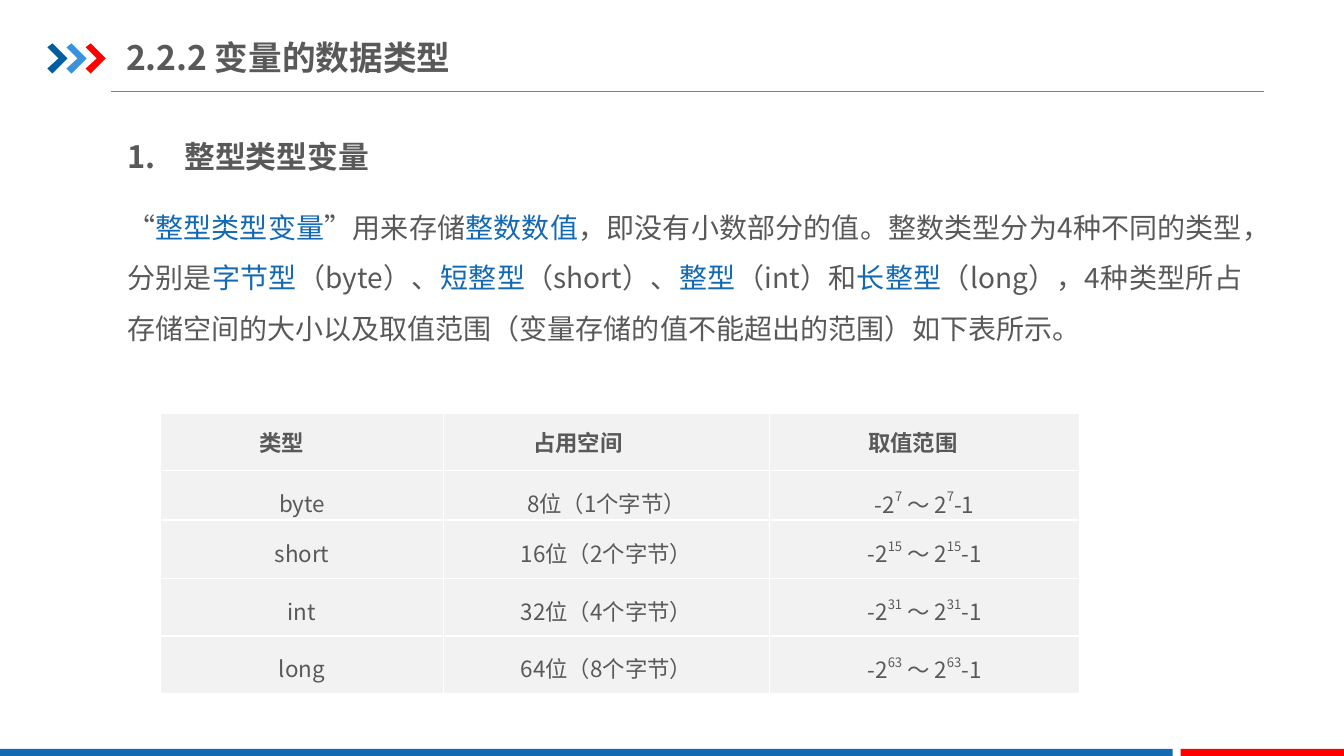
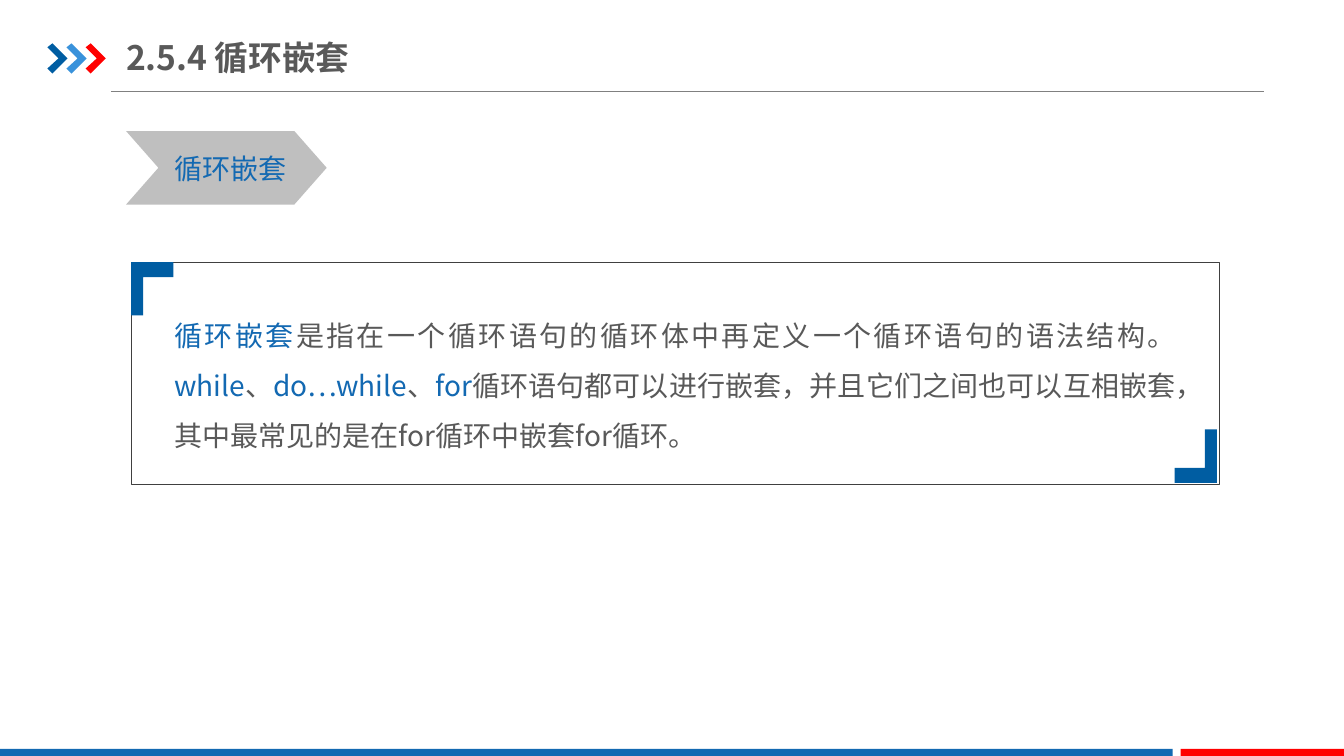
import pptx
import pptx.util
import pptx.dml.color
import pptx.enum.shapes
import pptx.enum.text
import pptx.oxml
import pptx.oxml.ns
from lxml import etree

PX = 9144  # 100 px to the inch
FONT = "Noto Sans CJK SC"
RGB = pptx.dml.color.RGBColor
GREY = RGB(0x59, 0x59, 0x59)
RULE = RGB(0x80, 0x80, 0x80)
EDGE = RGB(0x40, 0x40, 0x40)
TAG = RGB(0xBF, 0xBF, 0xBF)
CELL = RGB(0xF2, 0xF2, 0xF2)
BLUE = RGB(0x13, 0x69, 0xB2)
NAVY = RGB(0x00, 0x5D, 0xA2)
SKY = RGB(0x39, 0x92, 0xDB)
RED = RGB(0xFF, 0x00, 0x00)
SHAPE = pptx.enum.shapes.MSO_SHAPE
ALIGN = pptx.enum.text.PP_ALIGN
ANCHOR = pptx.enum.text.MSO_ANCHOR
qn = pptx.oxml.ns.qn

# Content: every second part between bars is blue, or raised in the table
TYPES = {
    "title": "2.2.2 变量的数据类型",
    "head": "1.\t整型类型变量",
    "body": "“|整型类型变量|”用来存储|整数数值|，即没有小数部分的值。"
            "整数类型分为4种不同的类型，分别是|字节型|（byte）、|短整型|（short）、"
            "|整型|（int）和|长整型|（long），4种类型所占存储空间的大小以及取值范围"
            "（变量存储的值不能超出的范围）如下表所示。",
    "table": [
        ("类型", "占用空间", "取值范围"),
        ("byte", "8位（1个字节）", "-2|7| ～ 2|7|-1"),
        ("short", "16位（2个字节）", "-2|15| ～ 2|15|-1"),
        ("int", "32位（4个字节）", "-2|31| ～ 2|31|-1"),
        ("long", "64位（8个字节）", "-2|63| ～ 2|63|-1"),
    ],
}
COLS = (281, 323, 308)
ROWS = (57, 49, 58, 57, 57)
INSETS = (98, 89, 98)  # left margins of the header cells

NEST = {
    "title": "2.5.4 循环嵌套",
    "tag": "|循环嵌套",
    "body": "|循环嵌套|是指在一个循环语句的循环体中再定义一个循环语句的语法结构。"
            "|while|、|do…while|、|for|循环语句都可以进行嵌套，并且它们之间也可以"
            "互相嵌套，其中最常见的是在for循环中嵌套for循环。",
}

# Outlines and bars
ARROW = [(0, 4), (5, 0), (20, 15), (5, 30), (0, 25), (11, 15)]
CORNER = [(0, 0), (42, 0), (42, 15), (12, 15), (12, 53), (0, 53)]
BARS = [(0, 1163, BLUE), (1171, 162, RED)]


def emu(*nums):
    return [pptx.util.Emu(n * PX) for n in nums]


def paint(shape, fill=None, line=None, width=0.25):
    shape.shadow.inherit = False
    if fill is None:
        shape.fill.background()
    else:
        shape.fill.solid()
        shape.fill.fore_color.rgb = fill
    if line is None:
        shape.line.fill.background()
    else:
        shape.line.color.rgb = line
        shape.line.width = pptx.util.Pt(width)
    return shape


def block(slide, kind, box, fill=None, line=None):
    return paint(slide.shapes.add_shape(kind, *emu(*box)), fill, line)


def outline(slide, points, left, top, fill):
    form = slide.shapes.build_freeform(*points[0], scale=PX)
    form.add_line_segments(points[1:], close=True)
    return paint(form.convert_to_shape(*emu(left, top)), fill)


def write(para, text, size, bold=False, align=ALIGN.LEFT, space=None, lift=False):
    para.alignment = align
    if space:
        para.line_spacing = space
    for i, part in enumerate(text.split("|")):
        if not part:
            continue
        run = para.add_run()
        run.text = part
        font = run.font
        font.size, font.bold, font.name = pptx.util.Pt(size), bold, FONT
        font.color.rgb = BLUE if i % 2 and not lift else GREY
        props = run._r.get_or_add_rPr()
        props.set("lang", "zh-CN")
        etree.SubElement(props, qn("a:ea")).set("typeface", FONT)
        if i % 2 and lift:
            props.set("baseline", "50000")


def margins(item, side, top):
    item.margin_left, item.margin_right = emu(side, side)
    item.margin_top, item.margin_bottom = emu(top, top)


def label(slide, box, side=10, top=5, wrap=True):
    frame = slide.shapes.add_textbox(*emu(*box)).text_frame
    frame.word_wrap = wrap
    margins(frame, side, top)
    return frame.paragraphs[0]


def start(deck, title):
    """Add a slide with the shared title, arrows, rule and bottom bars."""
    slide = deck.slides.add_slide(deck.slide_layouts[5])
    rule = slide.shapes.add_connector(
        pptx.enum.shapes.MSO_CONNECTOR.STRAIGHT, *emu(110, 91, 1254, 91))
    rule.line.color.rgb = RULE
    rule.line.width = pptx.util.Pt(0.75)
    etree.SubElement(rule._element.spPr, qn("a:effectLst"))
    for i, tint in enumerate((NAVY, SKY, RED)):
        outline(slide, ARROW, 47 + 19 * i, 43, tint)
    for left, width, tint in BARS:
        block(slide, SHAPE.RECTANGLE, (left, 743, width, 7), tint)
    head = slide.shapes.title
    head.left, head.top, head.width, head.height = emu(125, 29, 426, 55)
    frame = head.text_frame
    frame.auto_size = pptx.enum.text.MSO_AUTO_SIZE.NONE
    frame.vertical_anchor = ANCHOR.MIDDLE
    margins(frame, 0, 7)
    write(frame.paragraphs[0], title, 24, True)
    return slide


def border(cell):
    props = cell._tc.get_or_add_tcPr()
    for i, side in enumerate(("lnL", "lnR", "lnT", "lnB")):
        line = etree.Element(qn("a:" + side), w="12700")
        fill = etree.SubElement(line, qn("a:solidFill"))
        etree.SubElement(fill, qn("a:srgbClr"), val="FFFFFF")
        props.insert(i, line)


def grid(slide, rows, left, top):
    table = slide.shapes.add_table(
        len(rows), len(COLS), *emu(left, top, sum(COLS), sum(ROWS))).table
    table.horz_banding = False
    for col, width in zip(table.columns, emu(*COLS)):
        col.width = width
    for row, height in zip(table.rows, emu(*ROWS)):
        row.height = height
    for r, row in enumerate(rows):
        for c, text in enumerate(row):
            cell = table.cell(r, c)
            cell.fill.solid()
            cell.fill.fore_color.rgb = CELL
            border(cell)
            margins(cell, 7, 0)
            para = cell.text_frame.paragraphs[0]
            if r == 0:
                cell.vertical_anchor = ANCHOR.MIDDLE
                cell.margin_left = emu(INSETS[c])[0]
                write(para, text, 16, True)
            else:
                cell.vertical_anchor = ANCHOR.TOP
                write(para, text, 16, False, ALIGN.CENTER, 1.5, lift=True)


def types(deck):
    slide = start(deck, TYPES["title"])
    # Numbered heading with a hanging indent
    para = label(slide, (113, 111, 285, 62), 13, 7)
    props = para._p.get_or_add_pPr()
    props.set("marL", str(57 * PX))
    props.set("indent", str(-57 * PX))
    write(para, TYPES["head"], 22, True, ALIGN.JUSTIFY, 1.5)
    para = label(slide, (113, 185, 1132, 165), 13, 7)
    write(para, TYPES["body"], 20, False, ALIGN.JUSTIFY, 1.5)
    grid(slide, TYPES["table"], 159, 410)


def nest(deck):
    slide = start(deck, NEST["title"])
    # Arrow tag
    tag = block(slide, SHAPE.CHEVRON, (125, 130, 199, 73), TAG)
    tag.adjustments[0] = 0.44
    write(label(slide, (163, 145, 131, 44), wrap=False), NEST["tag"], 20)
    # Framed definition with two corner marks
    para = label(slide, (163, 294, 1013, 161))
    write(para, NEST["body"], 20, False, ALIGN.JUSTIFY, 1.5)
    block(slide, SHAPE.RECTANGLE, (130, 260, 1079, 220), line=EDGE)
    outline(slide, CORNER, 130, 260, NAVY)
    outline(slide, CORNER, 1165, 426, NAVY).rotation = 180


def main():
    deck = pptx.Presentation()
    deck.slide_width, deck.slide_height = emu(1333, 750)
    types(deck)
    nest(deck)
    deck.save("out.pptx")


if __name__ == "__main__":
    main()
